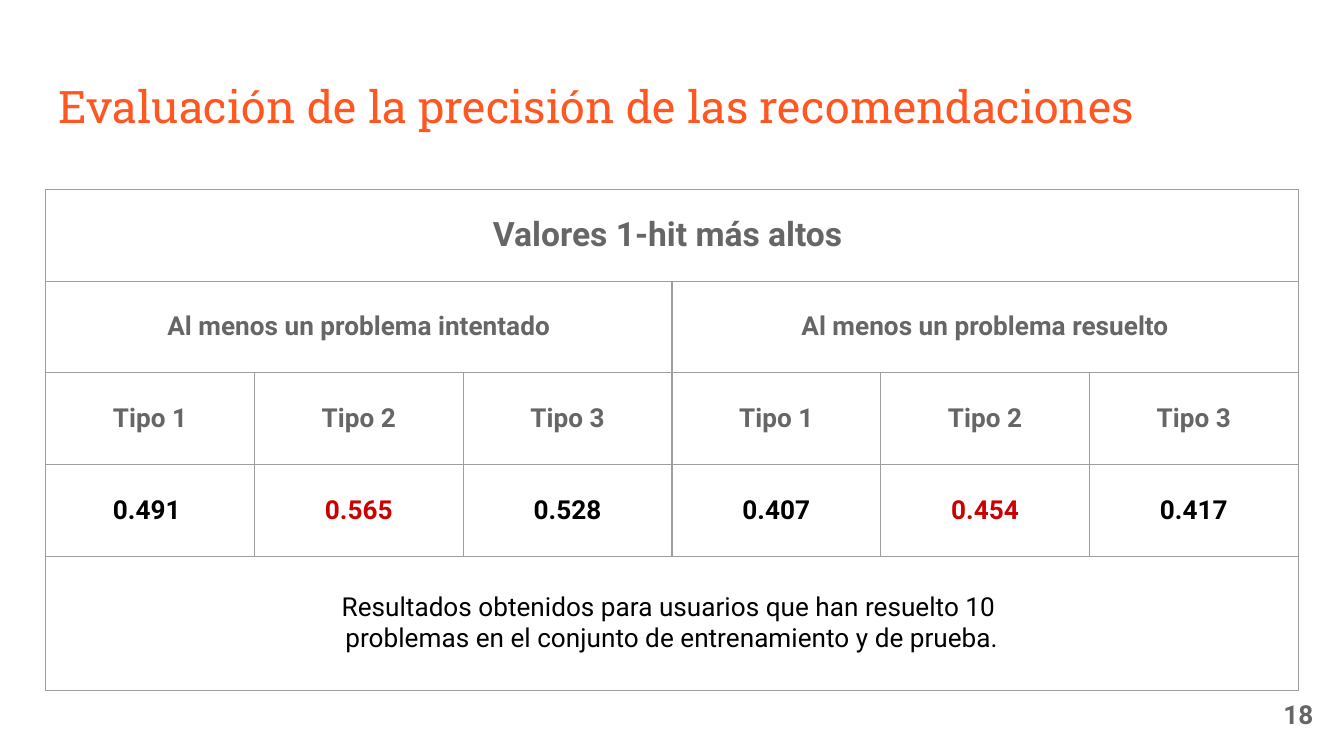
from dataclasses import dataclass

import pptx
import pptx.dml.color
import pptx.enum.text
import pptx.oxml
import pptx.oxml.ns
import pptx.util
from pptx.util import Inches

RGBColor = pptx.dml.color.RGBColor
Align = pptx.enum.text.PP_ALIGN
Anchor = pptx.enum.text.MSO_ANCHOR

ORANGE = RGBColor(0xFF, 0x57, 0x22)
GRAY = RGBColor(0x66, 0x66, 0x66)
BLACK = RGBColor(0, 0, 0)
RED = RGBColor(0xCC, 0, 0)
BORDER_COLOR = "9E9E9E"
BORDER_WIDTH = pptx.util.Pt(0.75)
MARGIN = Inches(0.1)

SLIDE_WIDTH = 10
SLIDE_HEIGHT = SLIDE_WIDTH * 9 / 16
TABLE_LEFT, TABLE_TOP, TABLE_WIDTH = 0.34, 1.41, 9.32
HEADER_HEIGHT = 2.73 / 4
ROW_HEIGHTS = [HEADER_HEIGHT] * 4 + [0.5] * 2
COLUMN_COUNT = 6
TYPES = ["Tipo 1", "Tipo 2", "Tipo 3"]
VALUES = ["0.491 ", "0.565", "0.528", "0.407", "0.454", "0.417"]
HIGHEST_COLUMNS = (1, 4)


@dataclass
class TableEntry:
    """Text of one table cell, with its place, span and format."""

    row: int
    column: int
    text: str
    row_span: int = 1
    column_span: int = 1
    size: int = 14
    color: RGBColor = GRAY
    bold: bool = True


def write_text(frame, text: str, *, size: int, color: RGBColor, font: str = "Roboto",
               bold: bool = False, align=Align.LEFT) -> None:
    """Fill a text frame, one paragraph per line of text."""
    for index, line in enumerate(text.split("\n")):
        paragraph = frame.add_paragraph() if index else frame.paragraphs[0]
        paragraph.alignment = align
        run = paragraph.add_run()
        run.text = line
        run.font.name = font
        run.font.size = pptx.util.Pt(size)
        run.font.bold = bold
        run.font.color.rgb = color


def set_layout(holder) -> None:
    """Give a cell or text frame equal margins and centre it vertically."""
    holder.margin_left = holder.margin_right = MARGIN
    holder.margin_top = holder.margin_bottom = MARGIN
    holder.vertical_anchor = Anchor.MIDDLE


def add_text_box(slide, left: float, top: float, width: float, height: float,
                 text: str, **text_format) -> None:
    """Add a text box with formatted text."""
    box = slide.shapes.add_textbox(Inches(left), Inches(top), Inches(width), Inches(height))
    box.text_frame.word_wrap = True
    set_layout(box.text_frame)
    write_text(box.text_frame, text, **text_format)


def style_cell(cell) -> None:
    """Clear the fill of a cell and outline its four sides."""
    cell.fill.background()
    properties = cell._tc.get_or_add_tcPr()
    for index, side in enumerate(("lnL", "lnR", "lnT", "lnB")):
        properties.insert(index, pptx.oxml.parse_xml(
            f'<a:{side} {pptx.oxml.ns.nsdecls("a")} w="{int(BORDER_WIDTH)}">'
            f'<a:solidFill><a:srgbClr val="{BORDER_COLOR}"/></a:solidFill>'
            f'<a:prstDash val="solid"/></a:{side}>'))


def table_entries() -> list[TableEntry]:
    """List the headings, values and footnote of the table."""
    entries = [
        TableEntry(0, 0, "Valores 1-hit más altos ", column_span=COLUMN_COUNT, size=18),
        TableEntry(1, 0, "Al menos un problema intentado", column_span=3),
        TableEntry(1, 3, "Al menos un problema resuelto", column_span=3),
        TableEntry(4, 0, "Resultados obtenidos para usuarios que han resuelto 10 \n"
                   "problemas en el conjunto de entrenamiento y de prueba.",
                   row_span=2, column_span=COLUMN_COUNT, color=BLACK, bold=False),
    ]
    for column, value in enumerate(VALUES):
        color = RED if column in HIGHEST_COLUMNS else BLACK
        entries.append(TableEntry(2, column, TYPES[column % len(TYPES)]))
        entries.append(TableEntry(3, column, value, color=color))
    return entries


def add_results_table(slide) -> None:
    """Add the table of highest 1-hit values."""
    table = slide.shapes.add_table(
        len(ROW_HEIGHTS), COLUMN_COUNT, Inches(TABLE_LEFT), Inches(TABLE_TOP),
        Inches(TABLE_WIDTH), Inches(sum(ROW_HEIGHTS))).table
    table.first_row = table.horz_banding = False
    for row, height in zip(table.rows, ROW_HEIGHTS):
        row.height = Inches(height)
    for cell in table.iter_cells():
        style_cell(cell)
    for entry in table_entries():
        cell = table.cell(entry.row, entry.column)
        if entry.row_span * entry.column_span > 1:
            cell.merge(table.cell(entry.row + entry.row_span - 1,
                                  entry.column + entry.column_span - 1))
        set_layout(cell)
        write_text(cell.text_frame, entry.text, size=entry.size, color=entry.color,
                   bold=entry.bold, align=Align.CENTER)


def main() -> None:
    """Build and save the slide."""
    presentation = pptx.Presentation()
    presentation.slide_width = Inches(SLIDE_WIDTH)
    presentation.slide_height = Inches(SLIDE_HEIGHT)
    slide = presentation.slides.add_slide(presentation.slide_layouts[6])
    add_text_box(slide, 0.34, 0.47, 9.32, 0.63,
                 "Evaluación de la precisión de las recomendaciones",
                 size=24, color=ORANGE, font="Roboto Slab")
    add_results_table(slide)
    add_text_box(slide, 9.27, 5.1, 0.6, 0.43, "18",
                 size=14, color=GRAY, bold=True, align=Align.RIGHT)
    presentation.save("out.pptx")


main()
